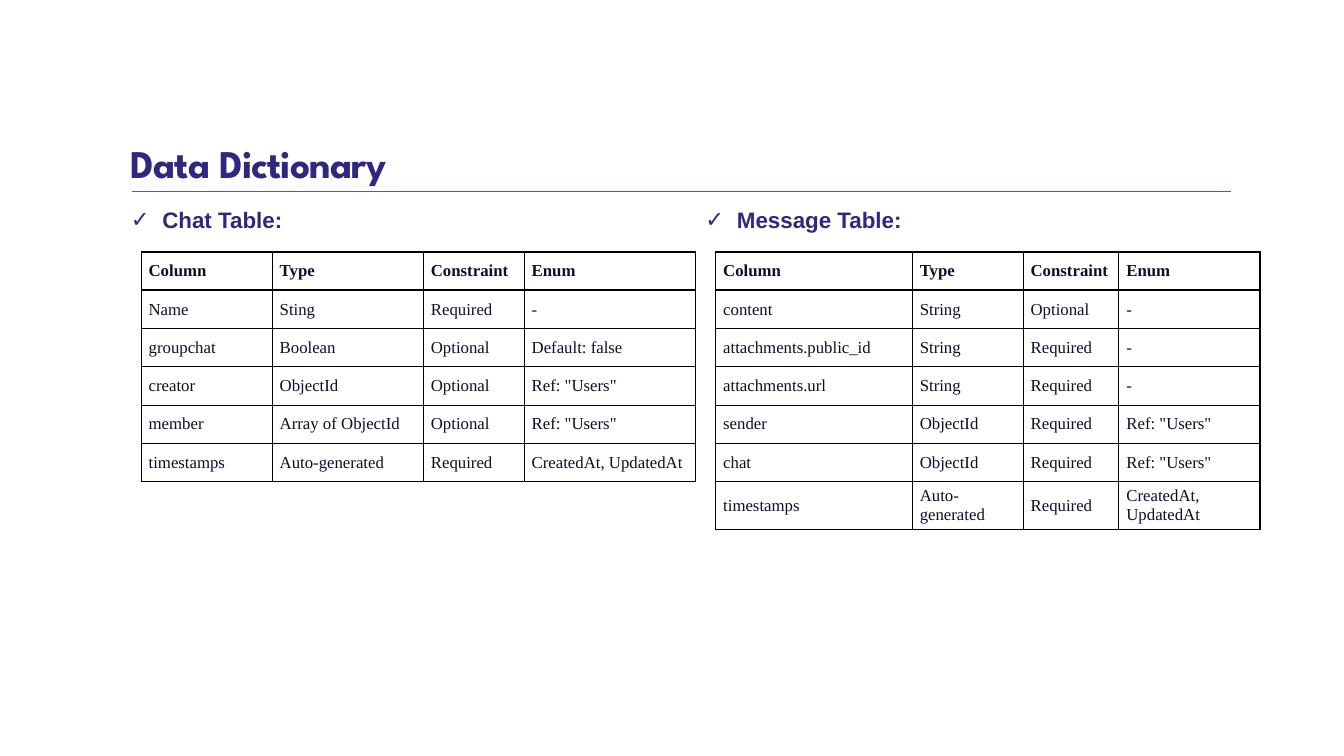
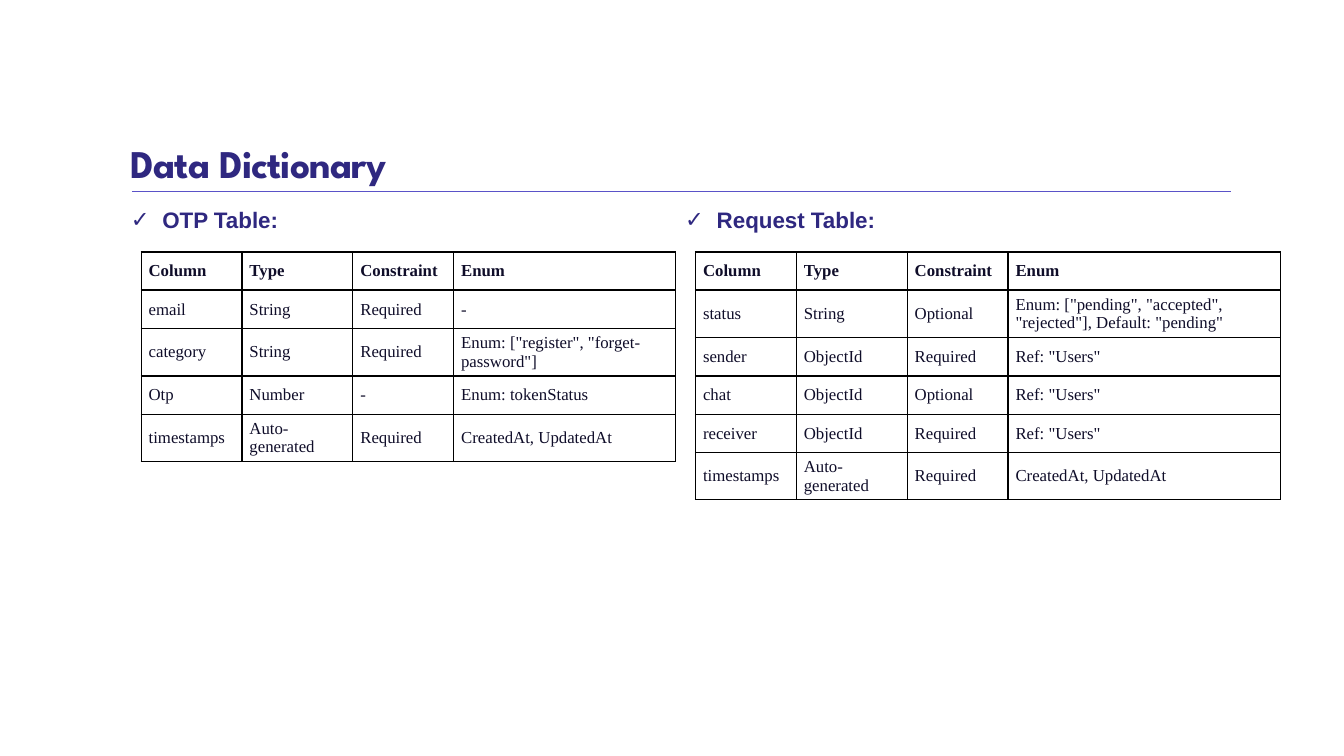
"""Build two data dictionary slides, each with a pair of schema tables."""
import pptx
import pptx.dml.color
import pptx.enum.shapes
import pptx.enum.text
import pptx.oxml.ns
import pptx.util
from lxml import etree

Pt = pptx.util.Pt
COLORS = {"heading": "2F2880", "rule": "5A52C8", "body": "0F0D29", "border": "000000"}
TITLE = "Data Dictionary"
HEADER = ("Column", "Type", "Constraint", "Enum")

SLIDES = [
    [
        ("Chat Table:", (93.6, 108, 72, 122.4), [
            ("Name", "Sting", "Required", "-"),
            ("groupchat", "Boolean", "Optional", "Default: false"),
            ("creator", "ObjectId", "Optional", 'Ref: "Users"'),
            ("member", "Array of ObjectId", "Optional", 'Ref: "Users"'),
            ("timestamps", "Auto-generated", "Required", "CreatedAt, UpdatedAt"),
        ]),
        ("Message Table:", (140.4, 79.2, 68.4, 100.8), [
            ("content", "String", "Optional", "-"),
            ("attachments.public_id", "String", "Required", "-"),
            ("attachments.url", "String", "Required", "-"),
            ("sender", "ObjectId", "Required", 'Ref: "Users"'),
            ("chat", "ObjectId", "Required", 'Ref: "Users"'),
            ("timestamps", "Auto-generated", "Required", "CreatedAt, UpdatedAt"),
        ]),
    ],
    [
        ("OTP Table:", (72, 79.2, 72, 158.4), [
            ("email", "String", "Required", "-"),
            ("category", "String", "Required", 'Enum: ["register", "forget-password"]'),
            ("Otp", "Number", "-", "Enum: tokenStatus"),
            ("timestamps", "Auto-generated", "Required", "CreatedAt, UpdatedAt"),
        ]),
        ("Request Table:", (72, 79.2, 72, 194.4), [
            ("status", "String", "Optional",
             'Enum: ["pending", "accepted", "rejected"], Default: "pending"'),
            ("sender", "ObjectId", "Required", 'Ref: "Users"'),
            ("chat", "ObjectId", "Optional", 'Ref: "Users"'),
            ("receiver", "ObjectId", "Required", 'Ref: "Users"'),
            ("timestamps", "Auto-generated", "Required", "CreatedAt, UpdatedAt"),
        ]),
    ],
]

LEFT = 86.4
TABLE_INDENT = 14.4
LABEL_TOP = 144
TABLE_TOP = 180
ROW_HEIGHT = 27.36
BULLET_INDENT = 22.5


def rgb(name):
    return pptx.dml.color.RGBColor.from_string(COLORS[name])


def add_element(parent, tag, **attributes):
    return etree.SubElement(parent, pptx.oxml.ns.qn(tag), attributes)


def write(paragraph, text, font, size, color, bold):
    run = paragraph.add_run()
    run.text = text
    run.font.name = font
    run.font.size = Pt(size)
    run.font.bold = bold
    run.font.color.rgb = rgb(color)
    return run


def add_title(slide):
    frame = slide.shapes.add_textbox(Pt(LEFT), Pt(22.3), Pt(792), Pt(114.5)).text_frame
    frame.word_wrap = True
    frame.vertical_anchor = pptx.enum.text.MSO_ANCHOR.BOTTOM
    heading = frame.paragraphs[0]
    heading.line_spacing = 0.85
    run = write(heading, TITLE, "League Spartan", 28, "heading", True)
    run.font._element.set("spc", "-50")

    rule = slide.shapes.add_connector(
        pptx.enum.shapes.MSO_CONNECTOR.STRAIGHT, Pt(94.3), Pt(136.8), Pt(879.1), Pt(136.8))
    rule.line.color.rgb = rgb("rule")
    rule.line.width = Pt(0.5)
    add_element(rule._element.spPr, "a:effectLst")


def add_label(slide, text, left):
    frame = slide.shapes.add_textbox(Pt(left), Pt(LABEL_TOP), Pt(432), Pt(28.8)).text_frame
    frame.word_wrap = True
    frame.auto_size = pptx.enum.text.MSO_AUTO_SIZE.SHAPE_TO_FIT_TEXT
    label = frame.paragraphs[0]
    properties = label._p.get_or_add_pPr()
    properties.set("marL", str(Pt(BULLET_INDENT)))
    properties.set("indent", str(-Pt(BULLET_INDENT)))
    add_element(properties, "a:buFont", typeface="Arial")
    add_element(properties, "a:buChar", char="✓")
    write(label, text, "Arial", 16, "heading", True)


def set_borders(cell, top, bottom):
    properties = cell._tc.get_or_add_tcPr()
    for side, width in (("L", 1), ("R", 1), ("T", top), ("B", bottom)):
        line = add_element(properties, f"a:ln{side}", w=str(Pt(width)))
        fill = add_element(line, "a:solidFill")
        add_element(fill, "a:srgbClr", val=COLORS["border"])


def add_schema(slide, widths, fields, left):
    rows = [HEADER, *fields]
    table = slide.shapes.add_table(
        len(rows), len(HEADER), Pt(left), Pt(TABLE_TOP),
        Pt(sum(widths)), Pt(ROW_HEIGHT * len(rows))).table
    table.horz_banding = False
    for column, width in zip(table.columns, widths):
        column.width = Pt(width)
    for r, values in enumerate(rows):
        table.rows[r].height = Pt(ROW_HEIGHT)
        for c, value in enumerate(values):
            cell = table.cell(r, c)
            cell.vertical_anchor = pptx.enum.text.MSO_ANCHOR.MIDDLE
            cell.margin_left, cell.margin_right = Pt(5.4), Pt(3.6)
            cell.margin_top = cell.margin_bottom = Pt(2.5)
            set_borders(cell, 1.5 if r < 2 else 1, 1.5 if r == 0 else 1)
            cell.fill.background()
            write(cell.text_frame.paragraphs[0], value, "Times New Roman", 12, "body", r == 0)


def main():
    deck = pptx.Presentation()
    deck.slide_width, deck.slide_height = Pt(960), Pt(540)
    for schemas in SLIDES:
        slide = deck.slides.add_slide(deck.slide_layouts[6])
        add_title(slide)
        left = LEFT
        for label, widths, fields in schemas:
            add_label(slide, label, left)
            add_schema(slide, widths, fields, left + TABLE_INDENT)
            left += TABLE_INDENT + sum(widths)
    deck.save("out.pptx")


if __name__ == "__main__":
    main()
